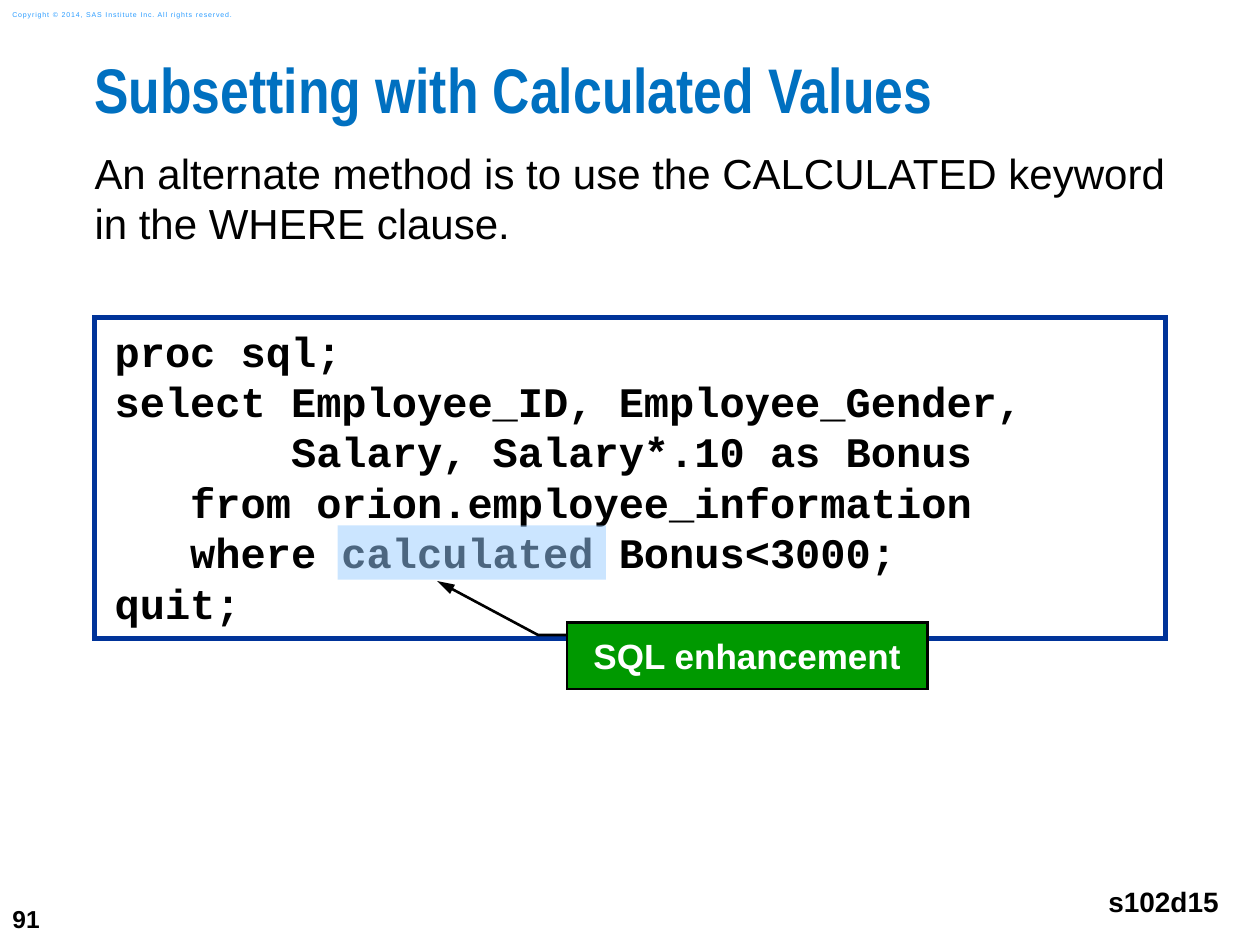
from dataclasses import dataclass
from lxml import etree
from pptx import Presentation
from pptx.dml.color import RGBColor
from pptx.enum.shapes import MSO_SHAPE
from pptx.enum.text import MSO_ANCHOR, PP_ALIGN
from pptx.oxml.ns import qn
from pptx.util import Inches, Pt

RECT, CALLOUT = MSO_SHAPE.RECTANGLE, MSO_SHAPE.LINE_CALLOUT_2
TOP, MIDDLE = MSO_ANCHOR.TOP, MSO_ANCHOR.MIDDLE
LEFT, CENTER, RIGHT = PP_ALIGN.LEFT, PP_ALIGN.CENTER, PP_ALIGN.RIGHT


@dataclass(frozen=True)
class Theme:
    sans: str = "Arial"
    narrow: str = "Arial Narrow"
    mono: str = "Courier New"
    black: str = "000000"
    white: str = "FFFFFF"
    title: str = "0070C0"
    legal: str = "2A9CFF"
    frame: str = "003399"
    mark: str = "99CCFF"
    note: str = "009900"
    head: int = 36
    body: int = 24
    label: int = 20
    file: int = 16
    page: int = 14
    tiny: int = 4


T = Theme()


def write(shape, text, size, color=T.black, font=T.sans, bold=True,
          inset=(0.1, 0.1, 0.1, 0.1), anchor=TOP, align=LEFT, wrap=True, space=None):
    frame = shape.text_frame
    frame.text = text
    frame.word_wrap = wrap
    frame.vertical_anchor = anchor
    (frame.margin_left, frame.margin_top,
     frame.margin_right, frame.margin_bottom) = map(Inches, inset)
    for para in frame.paragraphs:
        para.alignment = align
        para.line_spacing = space
        for run in para.runs:
            run.font.name, run.font.size, run.font.bold = font, Pt(size), bold
            run.font.color.rgb = RGBColor.from_string(color)


def block(kind, place, fill, line=None, width=0):
    shape = slide.shapes.add_shape(kind, *map(Inches, place))
    shape.shadow.inherit = False
    shape.fill.solid()
    shape.fill.fore_color.rgb = RGBColor.from_string(fill)
    if line:
        shape.line.color.rgb = RGBColor.from_string(line)
        shape.line.width = Pt(width)
        stroke = shape._element.spPr.find(qn("a:ln"))
        etree.SubElement(stroke, qn("a:miter"), lim="800000")
    else:
        shape.line.fill.background()
    return shape


deck = Presentation()
deck.slide_width, deck.slide_height = Inches(10), Inches(7.5)
slide = deck.slides.add_slide(deck.slide_layouts[6])

# Page number, copyright line, title, body and file name
flush = (0, 0, 0, 0)
slim = (0.1, 0.05, 0.1, 0.05)
texts = [
    ((0, 7.08, 0.58, 0.42), "91", T.page,
     dict(inset=slim, anchor=MIDDLE, wrap=False)),
    ((0, 0.03, 2.11, 0.17),
     "Copyright © 2014, SAS Institute Inc. All rights reserved.", T.tiny,
     dict(color=T.legal, bold=False, inset=slim, anchor=MIDDLE)),
    ((0.75, 0.5, 9.25, 0.74), "Subsetting with Calculated Values", T.head,
     dict(color=T.title, font=T.narrow, inset=flush, space=0.83)),
    ((0.75, 1.17, 8.58, 1.26),
     "An alternate method is to use the CALCULATED keyword in the WHERE clause.",
     T.body, dict(bold=False, inset=flush)),
    ((8.69, 6.92, 1.08, 0.47), "s102d15", T.file,
     dict(align=RIGHT, wrap=False)),
]
for place, text, size, style in texts:
    box = slide.shapes.add_textbox(*map(Inches, place))
    write(box, text, size, **style)
    if size == T.tiny:
        box.text_frame.paragraphs[0].runs[0].font._element.set("spc", "50")

# Code listing
code = [
    "proc sql;",
    "select Employee_ID, Employee_Gender,\v       Salary, Salary*.10 as Bonus",
    "   from orion.employee_information",
    "   where calculated Bonus<3000;",
    "quit;",
]
panel = block(RECT, (0.75, 2.52, 8.5, 2.55), T.white, T.frame, 3)
write(panel, "\n".join(code), T.body, font=T.mono,
      inset=(0.16, 0.06, 0.06, 0.06))

# Half-transparent mark over the keyword
mark = block(RECT, (2.68, 4.17, 2.13, 0.43), T.mark)
tint = mark._element.spPr.find(".//" + qn("a:srgbClr"))
etree.SubElement(tint, qn("a:alpha"), val="50000")

# Callout with an arrow to the keyword
note = block(CALLOUT, (4.5, 4.94, 2.86, 0.53), T.note, T.black, 1.5)
for i, value in enumerate((0.19, 0, 0.19, -0.08, -0.62, -0.36)):
    note.adjustments[i] = value
stroke = note._element.spPr.find(qn("a:ln"))
etree.SubElement(stroke, qn("a:tailEnd"), type="triangle", w="med", len="lg")
write(note, "SQL enhancement", T.label, T.white, anchor=MIDDLE, align=CENTER)

deck.save("out.pptx")
